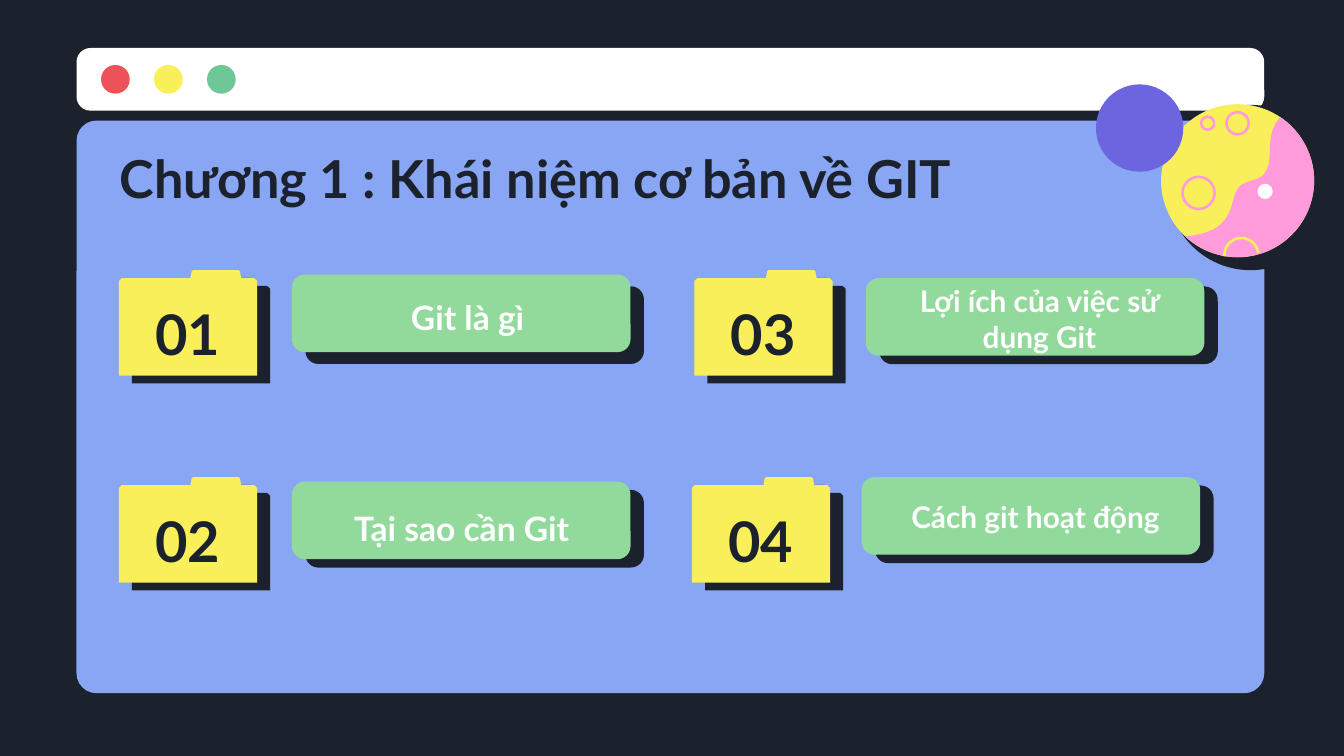
import math

import lxml.etree
import pptx
import pptx.dml.color
import pptx.enum.shapes
import pptx.enum.text
import pptx.oxml.ns
import pptx.util

Pt = pptx.util.Pt
RGB = pptx.dml.color.RGBColor
FORM = pptx.enum.shapes.MSO_SHAPE
ALIGN = pptx.enum.text.PP_ALIGN
ANCHOR = pptx.enum.text.MSO_ANCHOR
qn = pptx.oxml.ns.qn

DARK = RGB(0x1B, 0x22, 0x2D)
WHITE = RGB(0xFF, 0xFF, 0xFF)
RED = RGB(0xEB, 0x53, 0x58)
YELLOW = RGB(0xF8, 0xEF, 0x5B)
GREEN = RGB(0x6D, 0xC7, 0x97)
MINT = RGB(0x92, 0xD9, 0x9C)
BLUE = RGB(0x88, 0xA6, 0xF3)
PURPLE = RGB(0x6D, 0x65, 0xE0)
PINK = RGB(0xFF, 0x9B, 0xDA)
FONT = "Lato"


def paint(shape, fill=None, line=None, width=1.4):
    shape.shadow.inherit = False
    if fill is None:
        shape.fill.background()
    else:
        shape.fill.solid()
        shape.fill.fore_color.rgb = fill
    if line is None:
        shape.line.fill.background()
    else:
        shape.line.color.rgb = line
        shape.line.width = Pt(width)
    return shape


def disc(slide, x, y, radius, fill=None, line=None):
    """Draw a circle around the centre x, y."""
    box = (x - radius, y - radius, 2 * radius, 2 * radius)
    return paint(slide.shapes.add_shape(FORM.OVAL, *map(Pt, box)), fill, line)


def panel(slide, box, fill, round_by):
    """Draw a rounded rectangle."""
    shape = slide.shapes.add_shape(FORM.ROUNDED_RECTANGLE, *map(Pt, box))
    shape.adjustments[0] = round_by
    return paint(shape, fill)


def outline(slide, points, close=True):
    dots = [(Pt(x), Pt(y)) for x, y in points]
    pen = slide.shapes.build_freeform(*dots[0])
    pen.add_line_segments(dots[1:], close=close)
    return pen.convert_to_shape()


def write(shape, text, size, color, align, anchor):
    frame = shape.text_frame
    frame.word_wrap = True
    frame.auto_size = pptx.enum.text.MSO_AUTO_SIZE.NONE
    frame.vertical_anchor = anchor
    frame.margin_left = frame.margin_right = Pt(7.2)
    frame.margin_top = frame.margin_bottom = Pt(7.2)
    para = frame.paragraphs[0]
    para.alignment = align
    para.line_spacing = 1
    run = para.add_run()
    run.text = text
    font = run.font
    font.name, font.size, font.bold = FONT, Pt(size), True
    font.color.rgb = color


def label(slide, box, text, size, color, anchor):
    shape = slide.shapes.add_textbox(*map(Pt, box))
    write(shape, text, size, color, ALIGN.CENTER, anchor)


def window(slide, box):
    """Draw a browser window: a bar with three buttons above a pane."""
    left, top, width, height = box
    panel(slide, (left, top, width, 33.6), WHITE, 0.223)
    for i, color in enumerate((RED, YELLOW, GREEN)):
        disc(slide, left + 20.8 + 28.4 * i, top + 16.8, 7.7, color)
    panel(slide, (left, top + 38.9, width, height - 38.9), BLUE, 0.035)


def curve(start, first, second, end, steps=16):
    """List the points of a cubic curve after its start."""
    points = []
    for i in range(1, steps + 1):
        t = i / steps
        u = 1 - t
        parts = (u ** 3, 3 * u * u * t, 3 * u * t * t, t ** 3)
        knots = (start, first, second, end)
        points.append(tuple(sum(p * k[axis] for p, k in zip(parts, knots))
                            for axis in (0, 1)))
    return points


def arc(x, y, radius, start, end, steps=48):
    """List the points of an arc; angles run clockwise in degrees."""
    turns = [math.radians(start + (end - start) * i / steps)
             for i in range(steps + 1)]
    return [(x + radius * math.cos(a), y + radius * math.sin(a))
            for a in turns]


def planet(slide, box):
    """Draw the planet; its parts are set in radii from the centre."""
    left, top, size = box
    unit = size / 2

    def place(x, y):
        return left + unit + x * unit, top + unit + y * unit

    def spot(x, y, radius, fill=None, line=None):
        disc(slide, *place(x, y), radius * unit, fill, line)

    spot(0.17, 0.09, 1.08, DARK)
    spot(0, 0, 1, YELLOW)
    for ring in ((0, -0.75, 0.145), (-0.39, -0.75, 0.085),
                 (-0.51, 0.16, 0.21)):
        spot(*ring, line=PINK)
    edge = [(-0.68, 0.73)]
    for bend in (((-0.26, 0.68), (-0.12, 0.55), (-0.05, 0.22)),
                 ((0.04, -0.15), (0.42, 0.17), (0.42, -0.38)),
                 ((0.42, -0.64), (0.49, -0.76), (0.56, -0.83))):
        edge += curve(edge[-1], *bend)
    edge += arc(0, 0, 1, -56, 133)
    paint(outline(slide, [place(*p) for p in edge]), PINK)
    rim = [place(*p) for p in arc(0.05, 0.97, 0.22, 175, 353)]
    paint(outline(slide, rim, close=False), line=YELLOW)
    spot(0.36, 0.14, 0.1, WHITE)


def folder(slide, box, number):
    left, top, width, height = box
    points = ((0, 5.8), (1.6, 4.3), (38.3, 4.3), (39, 0.6), (39.8, 0),
              (64, 0), (64.8, 0.6), (65.5, 4.3), (width - 1.6, 4.3),
              (width, 5.8), (width, height), (0, height))
    shape = paint(outline(slide, [(left + x, top + y) for x, y in points]),
                  YELLOW)
    effects = shape.element.spPr.find(qn("a:effectLst"))
    shadow = lxml.etree.SubElement(
        effects, qn("a:outerShdw"), blurRad="0", dist=str(Pt(8.2)),
        dir=str(31 * 60000), algn="bl", rotWithShape="0")
    lxml.etree.SubElement(shadow, qn("a:srgbClr"), val=str(DARK))
    label(slide, (left + 5.6, top + 10.1, 62.6, 46.8), number, 30, DARK,
          ANCHOR.MIDDLE)


def banner(slide, box, drop, area, text, size):
    """Draw a bar over its dark twin, with text in the given area."""
    left, top, width, height = box
    panel(slide, (left + 7.2, top + drop, width, height), DARK, 0.167)
    panel(slide, box, MINT, 0.167)
    label(slide, area, text, size, WHITE, ANCHOR.BOTTOM)


def heading(slide, box, text):
    title = slide.shapes.title
    title.left, title.top, title.width, title.height = map(Pt, box)
    write(title, text, 28, DARK, ALIGN.LEFT, ANCHOR.TOP)
    title.element.getparent().append(title.element)


# number, text, size, folder corner, bar corner, shadow drop, text area
TOPICS = (
    ("01", "Git là gì", 18, (63.7, 144.7), (156.4, 147.1), 6.3,
     (176.4, 156.2, 148.3, 31.7)),
    ("02", "Tại sao cần Git", 18, (63.7, 255.6), (156.4, 258), 4.5,
     (167.8, 269.3, 159.1, 31.7)),
    ("03", "Lợi ích của việc sử dụng Git", 16, (372, 144.7), (463.8, 149), 4.5,
     (468, 165.6, 177.8, 31.7)),
    ("04", "Cách git hoạt động", 16, (370.7, 255.6), (461.6, 255.6), 4.5,
     (467.3, 262.1, 175, 31.7)),
)


def main():
    deck = pptx.Presentation()
    deck.slide_width, deck.slide_height = Pt(720), Pt(405)
    slide = deck.slides.add_slide(deck.slide_layouts[5])
    slide.background.fill.solid()
    slide.background.fill.fore_color.rgb = DARK
    window(slide, (41, 25.7, 636.3, 345.7))
    planet(slide, (622, 55.8, 82))
    disc(slide, 610.5, 68.6, 23.4, PURPLE)
    for number, text, size, corner, start, drop, area in TOPICS:
        folder(slide, (*corner, 74, 56.5), number)
        banner(slide, (*start, 181.4, 41.6), drop, area, text, size)
    heading(slide, (56.9, 71.3, 607, 44.6),
            "Chương 1 : Khái niệm cơ bản về GIT")
    deck.save("out.pptx")


if __name__ == "__main__":
    main()
